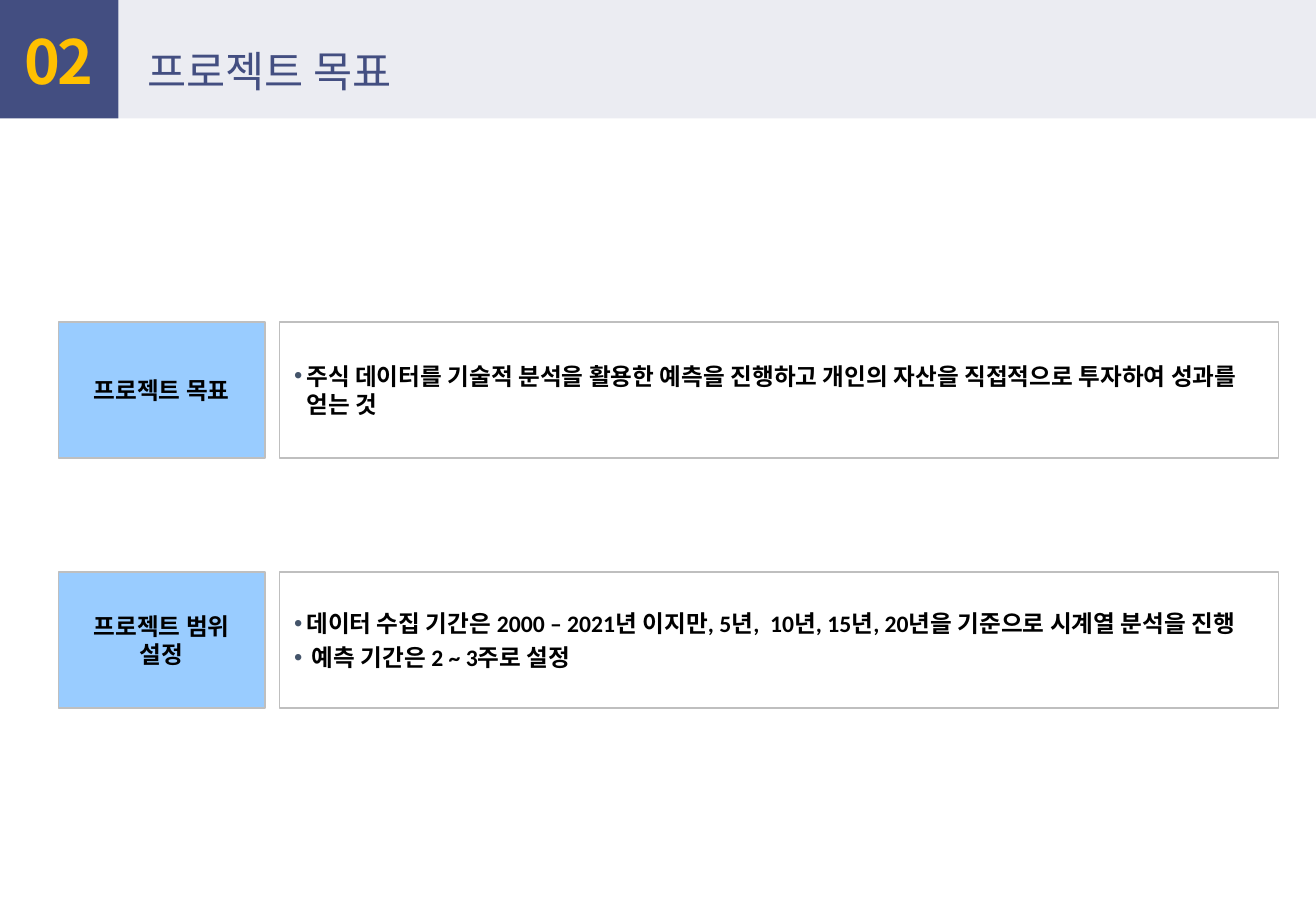
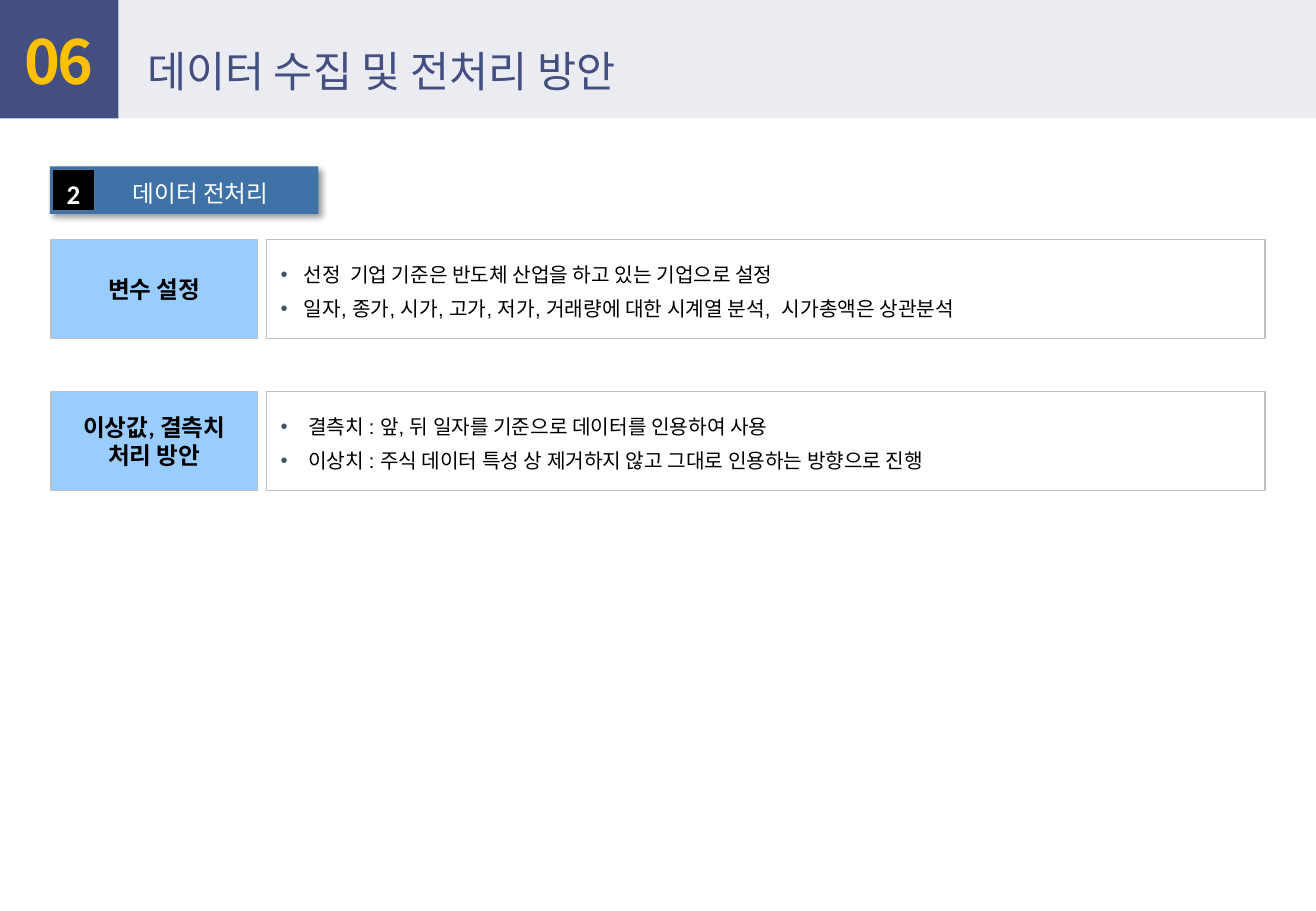
import pptx
import pptx.util
import pptx.dml.color
import pptx.enum.shapes
import pptx.enum.text
import pptx.oxml
import pptx.oxml.ns

Inches, Pt = pptx.util.Inches, pptx.util.Pt
Align = pptx.enum.text.PP_ALIGN
qn = pptx.oxml.ns.qn
NS = pptx.oxml.ns.nsdecls("a")

# Shared look
WIDE, HIGH = 10.83, 7.5
BAND = 0.13 * HIGH
TAG, BODY = 0.157 * WIDE, 0.759 * WIDE
HANGUL = "Noto Sans CJK KR"
HEX = {"navy": "434E81", "gold": "FFC000", "sky": "99CCFF", "grey": "BFBFBF",
       "steel": "3F73A7", "edge": "43739E", "dot": "44546A",
       "black": "000000", "white": "FFFFFF"}


def tint(name):
    return pptx.dml.color.RGBColor.from_string(HEX[name])


def write(shape, lines, size=14, font="Calibri", hue="black", bold=False,
          align=Align.CENTER, pad=(0.12, 0.04, 0.12, 0.04), lead=None,
          space=(0, 0), hang=None, track=None, wrap=True):
    """Fill a shape with paragraphs; a line is text or a (text, font) pair."""
    frame = shape.text_frame
    frame.auto_size = pptx.enum.text.MSO_AUTO_SIZE.NONE
    frame.word_wrap = wrap
    frame.vertical_anchor = pptx.enum.text.MSO_ANCHOR.MIDDLE
    (frame.margin_left, frame.margin_top,
     frame.margin_right, frame.margin_bottom) = map(Inches, pad)
    for i, line in enumerate(lines):
        text, face = (line, font) if isinstance(line, str) else line
        para = frame.add_paragraph() if i else frame.paragraphs[0]
        para.alignment = align
        para.space_before, para.space_after = map(Pt, space)
        if lead:
            para.line_spacing = lead
        if hang:
            bullet(para, hang)
        run = para.add_run()
        run.text = text
        run.font.name, run.font.size, run.font.bold = face, Pt(size), bold
        run.font.color.rgb = tint(hue)
        props = run.font._element
        east = pptx.oxml.parse_xml(f'<a:ea {NS} typeface="{HANGUL}"/>')
        props.find(qn("a:latin")).addnext(east)
        if track:
            props.set("spc", str(int(track * 100)))


def bullet(para, hang):
    props = para._element.get_or_add_pPr()
    props.set("marL", str(Inches(hang)))
    props.set("indent", str(-Inches(hang)))
    for xml in (f'<a:buClr {NS}><a:srgbClr val="{HEX["dot"]}"/></a:buClr>',
                f'<a:buFont {NS} typeface="Arial"/>',
                f'<a:buChar {NS} char="•"/>'):
        props.append(pptx.oxml.parse_xml(xml))


def box(slide, left, top, wide, high, fill=None, line=None, width=0.75, alpha=None):
    shape = slide.shapes.add_shape(pptx.enum.shapes.MSO_SHAPE.RECTANGLE,
                                   *map(Inches, (left, top, wide, high)))
    shape.shadow.inherit = False
    if fill:
        shape.fill.solid()
        shape.fill.fore_color.rgb = tint(fill)
    else:
        shape.fill.background()
    if line:
        shape.line.color.rgb = tint(line)
        shape.line.width = Pt(width)
    else:
        shape.line.fill.background()
    if alpha:
        color = shape._element.spPr.find(qn("a:solidFill"))[0]
        color.append(pptx.oxml.parse_xml(f'<a:alpha {NS} val="{alpha * 1000}"/>'))
    return shape


def shade(shape):
    effects = shape._element.spPr.find(qn("a:effectLst"))
    effects.append(pptx.oxml.parse_xml(
        f'<a:outerShdw {NS} blurRad="{Pt(4)}" dist="{Pt(3)}" dir="2700000" '
        f'algn="tl" rotWithShape="0"><a:srgbClr val="{HEX["black"]}">'
        '<a:alpha val="40000"/></a:srgbClr></a:outerShdw>'))


def start(deck, mark, name):
    """New slide with the header band, section number and title."""
    slide = deck.slides.add_slide(deck.slide_layouts[5])
    box(slide, 0, 0, BAND, BAND, fill="navy")
    box(slide, BAND, 0, WIDE - BAND, BAND, fill="navy", alpha=10)
    label = slide.shapes.add_textbox(*map(Inches, (0.14, 0.17, 0.69, 0.65)))
    write(label, [mark], size=36, font=HANGUL, hue="gold", bold=True,
          pad=(0.04, 0.05, 0.04, 0.05), space=(10, 0), track=-1.5)
    title = slide.shapes.title
    title.left, title.top, title.width, title.height = map(
        Inches, (1.11, 0.34, 6.7, 0.48))
    write(title, [name], size=25.2, font=HANGUL, hue="navy",
          align=Align.LEFT, pad=(0.1, 0.05, 0.1, 0.05))
    title._element.getparent().append(title._element)  # above the band
    return slide


def rows(slide, items, left, top, high, pitch, gap, **style):
    """Stack of labelled rows: a blue tag and a bulleted frame."""
    for i, (tag, lines) in enumerate(items):
        y = top + i * pitch
        name = box(slide, left, y, TAG, high, fill="sky", line="grey")
        write(name, [tag], bold=True, space=(1.6, 1.6))
        frame = box(slide, left + TAG + gap, y, BODY, high, line="grey")
        write(frame, lines, align=Align.LEFT, space=(1.6, 1.6), **style)


def badge(slide, left, top, mark, text):
    bar = box(slide, left, top, 2.21, 0.39, fill="steel")
    shade(bar)
    write(bar, [text], hue="white", lead=1.2, pad=(0.37, 0.05, 0.1, 0.05))
    chip = box(slide, left + 0.02, top + 0.02, 0.35, 0.35,
               fill="black", line="edge", width=1)
    write(chip, [mark], size=16, hue="white", bold=True, lead=1.2,
          pad=(0, 0.05, 0, 0.05), wrap=False)


def main():
    deck = pptx.Presentation()
    deck.slide_width, deck.slide_height = Inches(WIDE), Inches(HIGH)

    # Project goal
    goal = start(deck, "02", "프로젝트 목표")
    rows(goal, [
        ("프로젝트 목표",
         ["주식 데이터를 기술적 분석을 활용한 예측을 진행하고 개인의 자산을 "
          "직접적으로 투자하여 성과를 얻는 것"]),
        ("프로젝트 범위 설정",
         ["데이터 수집 기간은 2000 – 2021년 이지만, 5년,  10년, 15년, 20년을 "
          "기준으로 시계열 분석을 진행",
          " 예측 기간은 2 ~ 3주로 설정"]),
    ], left=0.48, top=2.65, high=1.12, pitch=2.06, gap=0.12, bold=True, hang=0.1)

    # Data preparation
    prep = start(deck, "06", "데이터 수집 및 전처리 방안")
    rows(prep, [
        ("변수 설정",
         [("선정  기업 기준은 반도체 산업을 하고 있는 기업으로 설정", "Calibri"),
          "일자, 종가, 시가, 고가, 저가, 거래량에 대한 시계열 분석,  "
          "시가총액은 상관분석"]),
        ("이상값, 결측치 처리 방안",
         [" 결측치 : 앞, 뒤 일자를 기준으로 데이터를 인용하여 사용",
          " 이상치 : 주식 데이터 특성 상 제거하지 않고 그대로 인용하는 "
          "방향으로 진행"]),
    ], left=0.42, top=1.97, high=0.82, pitch=1.25, gap=0.07,
        size=12, font="Arial", lead=1.2, hang=0.19)
    badge(prep, 0.41, 1.37, "2", "데이터 전처리")

    deck.save("out.pptx")


if __name__ == "__main__":
    main()
